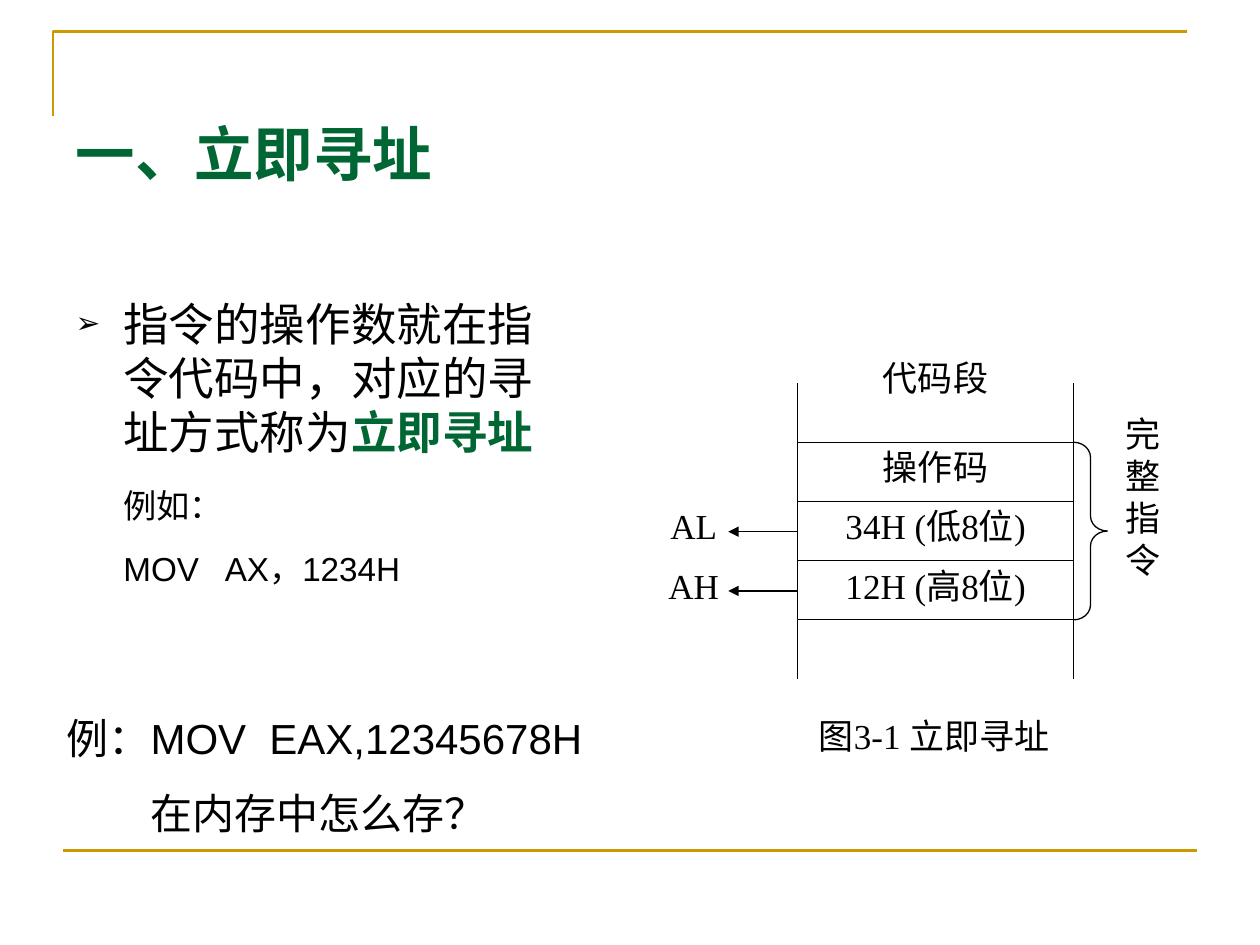
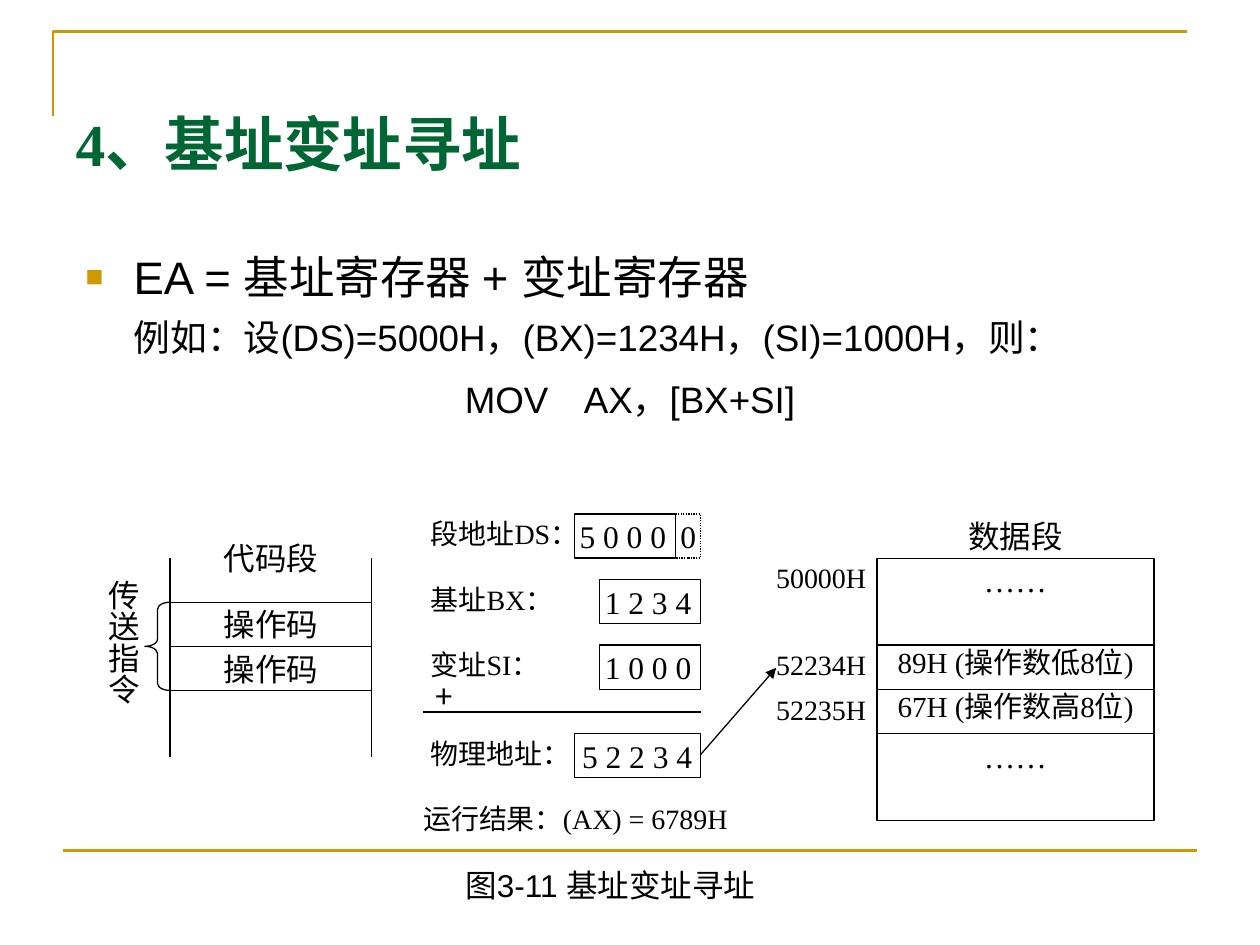
from dataclasses import dataclass

from lxml import etree
from pptx import Presentation
from pptx import util as u
from pptx.dml.color import RGBColor
from pptx.enum import dml, shapes, text
from pptx.oxml.ns import qn


@dataclass(frozen=True)
class Theme:
    ink: RGBColor = RGBColor(0x00, 0x00, 0x00)
    green: RGBColor = RGBColor(0x00, 0x66, 0x33)
    gold: RGBColor = RGBColor(0xCC, 0x99, 0x00)
    serif: str = "Times New Roman"
    sans: str = "Arial"
    chinese: str = "Noto Sans CJK SC"
    title: float = 34
    lead: float = 26
    example: float = 24
    formula: float = 21
    large: float = 20
    code: float = 19
    medium: float = 18
    cell: float = 16.6
    small: float = 16
    hair: float = 0.75
    rule: float = 1.5


theme = Theme()
LEFT, CENTER = text.PP_ALIGN.LEFT, text.PP_ALIGN.CENTER


def label(page, words, spot, size, align=CENTER, framed=False, inset=0, leading=1.3, font=theme.serif):
    """Put text, one paragraph per line of words, at spot (left, top, width, height)."""
    place = [u.Inches(n) for n in spot]
    if framed:
        box = page.shapes.add_shape(shapes.MSO_SHAPE.RECTANGLE, *place)
        box.shadow.inherit = False
        box.fill.background()
        box.line.color.rgb = theme.ink
        box.line.width = u.Pt(theme.hair)
    else:
        box = page.shapes.add_textbox(*place)
    frame = box.text_frame
    frame.text = words
    frame.word_wrap = True
    frame.vertical_anchor = text.MSO_ANCHOR.TOP
    frame.margin_left = u.Inches(inset)
    frame.margin_right = frame.margin_top = frame.margin_bottom = 0
    for para in frame.paragraphs:
        para.alignment = align
        para.line_spacing = u.Pt(size * leading)
        para.font.size = u.Pt(size)
        para.font.color.rgb = theme.ink
        para.font.name = font
        etree.SubElement(para.font._element, qn("a:ea"), typeface=theme.chinese)
    return box


def line(page, start, end, color=theme.ink, weight=theme.hair, arrow=False):
    link = page.shapes.add_connector(
        shapes.MSO_CONNECTOR.STRAIGHT, *[u.Inches(n) for n in start + end])
    link.line.color.rgb = color
    link.line.width = u.Pt(weight)
    if arrow:
        etree.SubElement(link.line._get_or_add_ln(), qn("a:tailEnd"), type="triangle")
    etree.SubElement(link._element.spPr, qn("a:effectLst"))


deck = Presentation()
deck.slide_width, deck.slide_height = u.Inches(10), u.Inches(7.5)

# Body paragraphs: spans, size, line height, space before, bullet, alignment
topics = [
    ("一、立即寻址", (0.5, 0.83, 9, 0.95), (0.5, 2.3, 4.13, 3.03), theme.ink, [
        (["指令的操作数就在指令代码中，对应的寻址方式称为", "立即寻址"], theme.lead, 31, 0, "➢", LEFT),
        (["例如："], theme.code, 27, 11, None, LEFT),
        (["MOV   AX，1234H"], theme.code, 27, 9, None, LEFT),
    ]),
    ("4、基址变址寻址", (0.5, 0.75, 9, 1.03), (0.58, 1.94, 8.74, 1.9), theme.gold, [
        (["EA = 基址寄存器 + 变址寄存器"], theme.lead, 30, 0, "■", LEFT),
        (["例如：设(DS)=5000H，(BX)=1234H，(SI)=1000H，则："], theme.formula, 27, 5, None, LEFT),
        (["MOV\t AX，[BX+SI]"], theme.formula, 27, 8, None, CENTER),
    ]),
]

pages = []
for heading, title_spot, body_spot, bullet_color, paragraphs in topics:
    page = deck.slides.add_slide(deck.slide_layouts[1])
    pages.append(page)

    pen = page.shapes.build_freeform(u.Inches(0.42), u.Inches(0.92))
    pen.add_line_segments([(u.Inches(0.42), u.Inches(0.25)), (u.Inches(9.42), u.Inches(0.25))], close=False)
    corner = pen.convert_to_shape()
    corner.shadow.inherit = False
    corner.fill.background()
    corner.line.color.rgb = theme.gold
    corner.line.width = u.Pt(theme.rule)
    line(page, (0.5, 6.75), (9.5, 6.75), theme.gold, theme.rule)

    title, body = page.shapes.title, page.placeholders[1]
    for holder, spot in ((title, title_spot), (body, body_spot)):
        holder.left, holder.top, holder.width, holder.height = [u.Inches(n) for n in spot]
        holder.text_frame.word_wrap = True
        holder.text_frame.auto_size = text.MSO_AUTO_SIZE.NONE
        holder.text_frame.vertical_anchor = text.MSO_ANCHOR.TOP
    body.text_frame.margin_right = 0 if page is not pages[0] else u.Inches(0.1)

    title.text_frame.text = heading
    para = title.text_frame.paragraphs[0]
    para.alignment = LEFT
    para.line_spacing = u.Pt(theme.title * 1.3)
    para.font.size, para.font.bold = u.Pt(theme.title), True
    para.font.color.rgb = theme.green
    para.font.name = theme.serif
    etree.SubElement(para.font._element, qn("a:ea"), typeface=theme.chinese)

    for number, (spans, size, height, before, bullet, align) in enumerate(paragraphs):
        para = body.text_frame.add_paragraph() if number else body.text_frame.paragraphs[0]
        props = para._p.get_or_add_pPr()
        hanging = bullet or align == CENTER
        props.set("marL", str(u.Inches(0.38)))
        props.set("indent", str(u.Inches(-0.38 if hanging else 0)))
        if bullet:
            tint = etree.SubElement(props, qn("a:buClr"))
            etree.SubElement(tint, qn("a:srgbClr"), val=str(bullet_color))
            etree.SubElement(props, qn("a:buSzPct"), val="65000")
            etree.SubElement(props, qn("a:buChar"), char=bullet)
        else:
            etree.SubElement(props, qn("a:buNone"))
        if align == CENTER:
            tabs = etree.SubElement(props, qn("a:tabLst"))
            for inch in range(8):
                etree.SubElement(tabs, qn("a:tab"), pos=str(u.Inches(inch)), algn="l")
        para.alignment = align
        para.line_spacing, para.space_before = u.Pt(height), u.Pt(before)
        para.font.size = u.Pt(size)
        para.font.color.rgb = theme.ink
        para.font.name = theme.sans
        etree.SubElement(para.font._element, qn("a:ea"), typeface=theme.chinese)
        for position, words in enumerate(spans):
            span = para.add_run()
            span.text = words
            if position:
                span.font.bold = True
                span.font.color.rgb = theme.green

immediate, indexed = pages

# Code segments: stacked cells between open rails, with a brace at one side
segments = [
    (immediate, 6.33, 3.51, 2.19, 0.47, 1, theme.large, ["操作码", "34H (低8位)", "12H (高8位)"],
     shapes.MSO_SHAPE.RIGHT_BRACE, 8.52, 0.27, 0.44),
    (indexed, 1.35, 4.78, 1.6, 0.35, 1.5, theme.medium, ["操作码", "操作码"],
     shapes.MSO_SHAPE.LEFT_BRACE, 1.15, 0.2, 0.28),
]
for page, left, top, width, height, tail, size, cells, kind, brace_left, brace_width, bend in segments:
    bottom = top + height * len(cells)
    for row, words in enumerate(cells):
        label(page, words, (left, top + row * height, width, height), size, framed=True)
    for rail in (left, left + width):
        line(page, (rail, top), (rail, top - height))
        line(page, (rail, bottom + tail * height), (rail, bottom))
    label(page, "代码段", (left, top - 1.5 * height, width, height), size)
    brace = page.shapes.add_shape(
        kind, *[u.Inches(n) for n in (brace_left, top, brace_width, bottom - top)])
    brace.adjustments[0] = bend
    brace.shadow.inherit = False
    brace.fill.background()
    brace.line.color.rgb = theme.ink
    brace.line.width = u.Pt(theme.hair)

# Immediate addressing
for register, top in (("AL", 3.98), ("AH", 4.45)):
    label(immediate, register, (5.23, top, 0.55, 0.47), theme.large)
    line(immediate, (6.33, top + 0.24), (5.78, top + 0.24), arrow=True)
label(immediate, "完整指令", (8.82, 3.27, 0.5, 1.89), theme.large, leading=1.2)
label(immediate, "图3-1 立即寻址", (6.05, 5.64, 2.73, 0.47), theme.large)
question = label(immediate, "例：MOV  EAX,12345678H\n在内存中怎么存？", (0.43, 5.62, 5.2, 1.06),
                 theme.example, LEFT, inset=0.1, font=theme.sans)
answer = question.text_frame.paragraphs[1]
answer.space_before = u.Pt(12)
answer._p.get_or_add_pPr().set("marL", str(u.Pt(2 * theme.example)))

# Based indexed addressing: data segment
label(indexed, "数据段", (6.96, 4.08, 2.2, 0.35), theme.medium)
for words, top, height, size, leading in (
        ("……", 4.43, 0.69, theme.medium, 1.3),
        ("89H (操作数低8位)", 5.12, 0.35, theme.cell, 1.17),
        ("67H (操作数高8位)", 5.47, 0.35, theme.cell, 1.17),
        ("……", 5.82, 0.69, theme.medium, 1.3)):
    label(indexed, words, (6.96, top, 2.2, height), size, framed=True, leading=leading)
for address, top in (("50000H", 4.43), ("52234H", 5.12), ("52235H", 5.47)):
    label(indexed, address, (6.16, top, 0.8, 0.35), theme.small, LEFT)

# Based indexed addressing: address sum, values aligned on their right edge
for name, value, top, width, edge, font in (
        ("段地址DS：", "5 0 0 0", 4.08, 0.8, 5.36, theme.serif),
        ("基址BX：", "1 2 3 4", 4.6, 0.8, 5.56, theme.serif),
        ("变址SI：", "1 0 0 0", 5.12, 0.8, 5.56, theme.serif),
        ("物理地址：", "5 2 2 3 4", 5.82, 1, 5.56, theme.chinese)):
    label(indexed, name, (3.36, top, 1.4, 0.35), theme.small, LEFT, inset=0.06, font=font)
    label(indexed, value, (edge - width, top, width, 0.35), theme.medium, LEFT, True,
          0.06 if width == 1 else 0.04)
shift = label(indexed, "0", (5.36, 4.08, 0.2, 0.35), theme.medium, LEFT, True, 0.04)
shift.line.dash_style = dml.MSO_LINE.ROUND_DOT
label(indexed, "+", (3.46, 5.35, 0.4, 0.4), theme.medium, LEFT, font=theme.chinese)
line(indexed, (3.36, 5.65), (5.56, 5.65))
line(indexed, (5.56, 5.99), (6.16, 5.3), arrow=True)
label(indexed, "运行结果：(AX) = 6789H", (3.36, 6.34, 2.6, 0.35), theme.small, LEFT)

instruction = label(indexed, "传送指令", (0.75, 4.6, 0.4, 1.04), theme.medium)
instruction.text_frame._txBody.bodyPr.set("vert", "eaVert")
label(indexed, "图3-11 基址变址寻址", (1.33, 6.85, 7.03, 0.35), theme.medium, font=theme.sans)

deck.save("out.pptx")
